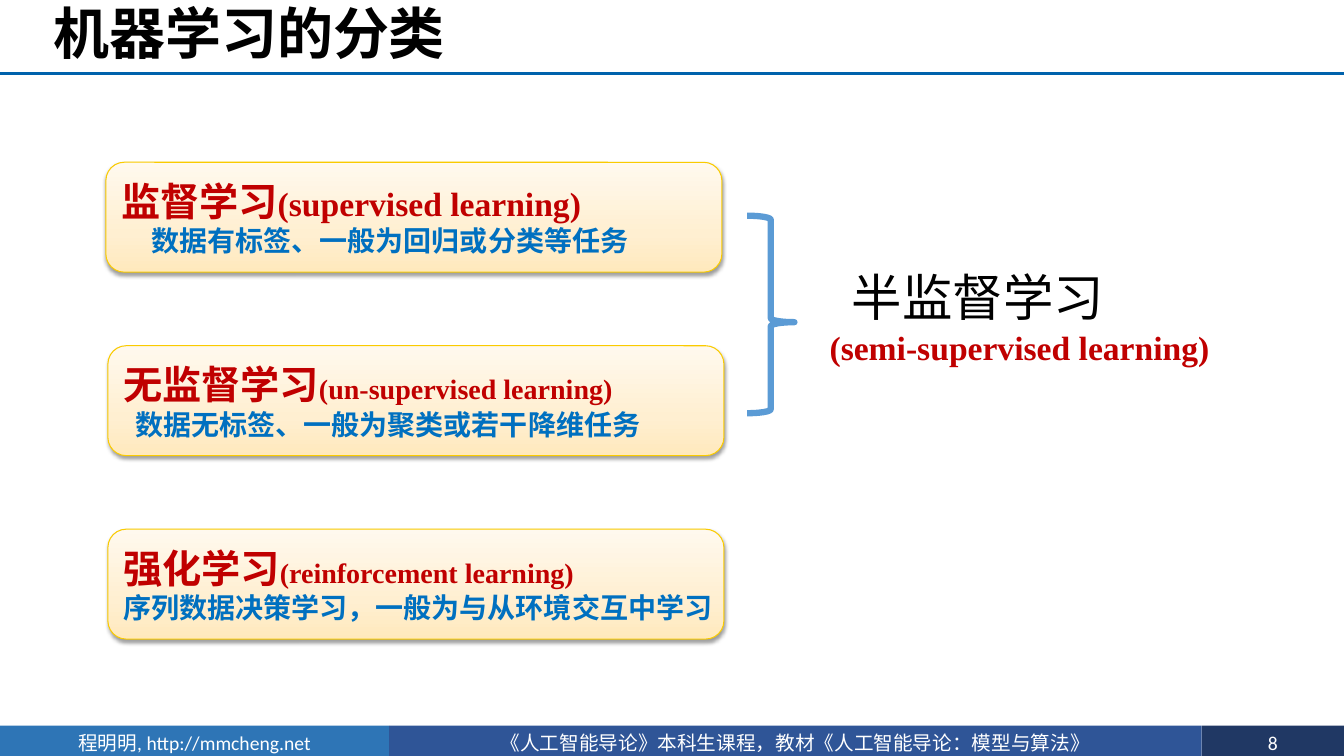
from lxml.etree import SubElement
from pptx import Presentation
from pptx.dml.color import RGBColor
from pptx.enum.shapes import MSO_CONNECTOR, MSO_SHAPE
from pptx.enum.text import MSO_ANCHOR, PP_ALIGN
from pptx.oxml import parse_xml
from pptx.oxml.ns import nsdecls, qn
from pptx.util import Inches, Pt

BLACK = RGBColor(0x00, 0x00, 0x00)
WHITE = RGBColor(0xFF, 0xFF, 0xFF)
RED = RGBColor(0xC0, 0x00, 0x00)
BLUE = RGBColor(0x00, 0x70, 0xC0)
RULE_BLUE = RGBColor(0x00, 0x62, 0xAC)
BRACE_BLUE = RGBColor(0x5B, 0x9B, 0xD5)
GOLD = RGBColor(0xFA, 0xCB, 0x00)
FOOTER_LIGHT = RGBColor(0x2E, 0x75, 0xB6)
FOOTER_MIDDLE = RGBColor(0x2F, 0x55, 0x97)
FOOTER_DARK = RGBColor(0x20, 0x38, 0x64)
CARD_STOPS = [
    (0, RGBColor(0xFF, 0xE9, 0xBD)),
    (35, RGBColor(0xFF, 0xEF, 0xD1)),
    (100, RGBColor(0xFF, 0xF9, 0xEE)),
]

CALIBRI = "Calibri"
TIMES = "Times New Roman"
NOTO = "Noto Sans CJK SC"

CARDS = [
    (1.05, "监督学习", "(supervised learning)", 24, "数据有标签、一般为回归或分类等任务", 0.3),
    (1.07, "无监督学习", "(un-supervised learning)", 20, "数据无标签、一般为聚类或若干降维任务", 0.12),
    (1.07, "强化学习", "(reinforcement learning)", 20, "序列数据决策学习，一般为与从环境交互中学习", 0),
]
CARD_TOP, CARD_STEP = 1.61, 1.82
FOOTERS = [
    (0, 3.86, FOOTER_LIGHT, "程明明, http://mmcheng.net"),
    (3.86, 8.06, FOOTER_MIDDLE, "《人工智能导论》本科生课程，教材《人工智能导论：模型与算法》"),
    (11.92, 1.41, FOOTER_DARK, "8"),
]


def add_span(para, text, size, color, font, bold=False):
    span = para.add_run()
    span.text = text
    span.font.size = Pt(size)
    span.font.bold = bold
    span.font.color.rgb = color
    span.font.name = font
    SubElement(span.font._element, qn("a:ea"), typeface=NOTO)


def indent(para, length):
    para._p.get_or_add_pPr().set("marL", str(Inches(length)))


def add_shape(page, kind, left, top, width, height):
    shape = page.shapes.add_shape(
        kind, Inches(left), Inches(top), Inches(width), Inches(height))
    shape.shadow.inherit = False
    return shape


def add_text_box(page, left, top, width, height):
    box = page.shapes.add_textbox(
        Inches(left), Inches(top), Inches(width), Inches(height))
    box.text_frame.word_wrap = True
    return box.text_frame


def add_footer(page, left, width, color, text):
    bar = add_shape(page, MSO_SHAPE.RECTANGLE, left, 7.2, width, 0.34)
    bar.fill.solid()
    bar.fill.fore_color.rgb = color
    bar.line.fill.background()
    frame = bar.text_frame
    frame.margin_top = frame.margin_bottom = 0
    frame.vertical_anchor = MSO_ANCHOR.MIDDLE
    para = frame.paragraphs[0]
    para.alignment = PP_ALIGN.CENTER
    add_span(para, text, 14, WHITE, CALIBRI)


def add_title(page, text):
    frame = add_text_box(page, 0.43, 0, 12.9, 0.73)
    frame.vertical_anchor = MSO_ANCHOR.MIDDLE
    para = frame.paragraphs[0]
    para.line_spacing = 0.9
    add_span(para, text, 40, BLACK, CALIBRI, True)


def add_rule(page):
    rule = page.shapes.add_connector(
        MSO_CONNECTOR.STRAIGHT, 0, Inches(0.73), Inches(13.33), Inches(0.73))
    rule.line.color.rgb = RULE_BLUE
    rule.line.width = Pt(2)
    SubElement(rule._element.spPr, qn("a:effectLst"))


def style_card(card):
    card.fill.gradient()
    card.fill.gradient_angle = 90
    stops = card._element.spPr.find(".//" + qn("a:gsLst"))
    stops.clear()
    for position, color in CARD_STOPS:
        stop = SubElement(stops, qn("a:gs"), pos=str(position * 1000))
        SubElement(stop, qn("a:srgbClr"), val=str(color))
    card.line.color.rgb = GOLD
    card.line.width = Pt(0.75)
    effects = card._element.spPr.find(qn("a:effectLst"))
    effects.append(parse_xml(
        f'<a:outerShdw {nsdecls("a")} blurRad="{Pt(3.1)}" dist="{Pt(1.6)}" '
        'dir="5400000" rotWithShape="0"><a:srgbClr val="000000">'
        '<a:alpha val="38000"/></a:srgbClr></a:outerShdw>'))


def add_card(page, left, top, name, english, english_size, detail, detail_indent):
    card = add_shape(page, MSO_SHAPE.ROUNDED_RECTANGLE, left, top, 6.11, 1.09)
    style_card(card)
    frame = card.text_frame
    frame.word_wrap = False
    frame.margin_top = frame.margin_bottom = 0
    frame.vertical_anchor = MSO_ANCHOR.MIDDLE
    heading, body = frame.paragraphs[0], frame.add_paragraph()
    heading.alignment = body.alignment = PP_ALIGN.LEFT
    add_span(heading, name, 28, RED, TIMES, True)
    add_span(heading, english, english_size, RED, TIMES, True)
    indent(body, detail_indent)
    add_span(body, detail, 20, BLUE, TIMES, True)


def add_brace(page):
    brace = add_shape(page, MSO_SHAPE.RIGHT_BRACE, 7.41, 2.14, 0.47, 1.96)
    brace.adjustments[0] = 0.083
    brace.adjustments[1] = 0.539
    brace.fill.background()
    brace.line.color.rgb = BRACE_BLUE
    brace.line.width = Pt(4.5)


def add_semi_supervised(page):
    frame = add_text_box(page, 8.13, 2.59, 3.97, 1.51)
    name, english = frame.paragraphs[0], frame.add_paragraph()
    indent(name, 0.22)
    add_span(name, "半监督学习", 36, BLACK, NOTO)
    add_span(english, "(semi-supervised learning)", 24, RED, TIMES, True)


def main():
    deck = Presentation()
    deck.slide_width, deck.slide_height = Inches(13.33), Inches(7.5)
    page = deck.slides.add_slide(deck.slide_layouts[6])
    for footer in FOOTERS:
        add_footer(page, *footer)
    add_rule(page)
    add_title(page, "机器学习的分类")
    for index, (left, *texts) in enumerate(CARDS):
        add_card(page, left, CARD_TOP + index * CARD_STEP, *texts)
    add_brace(page)
    add_semi_supervised(page)
    deck.save("out.pptx")


if __name__ == "__main__":
    main()
